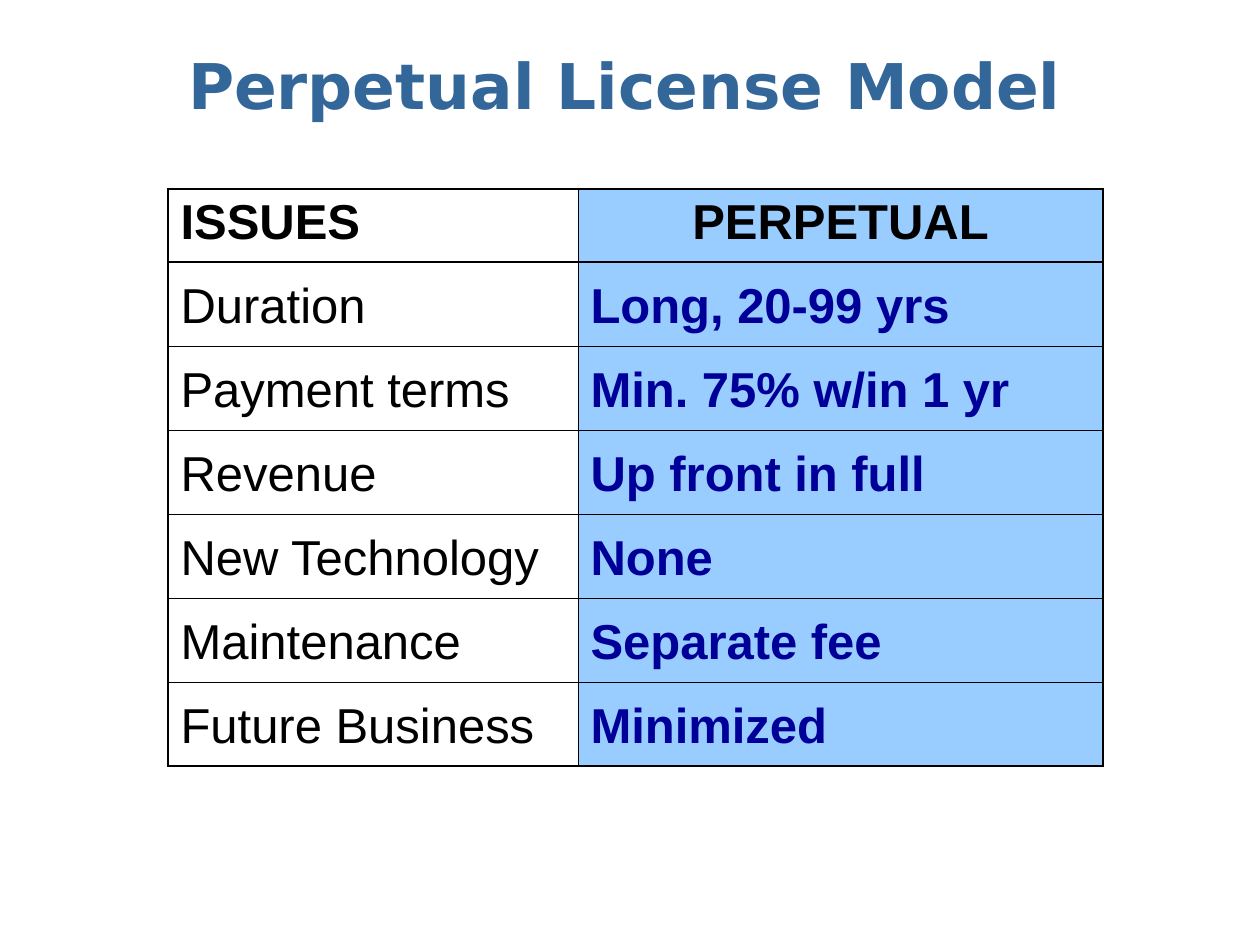
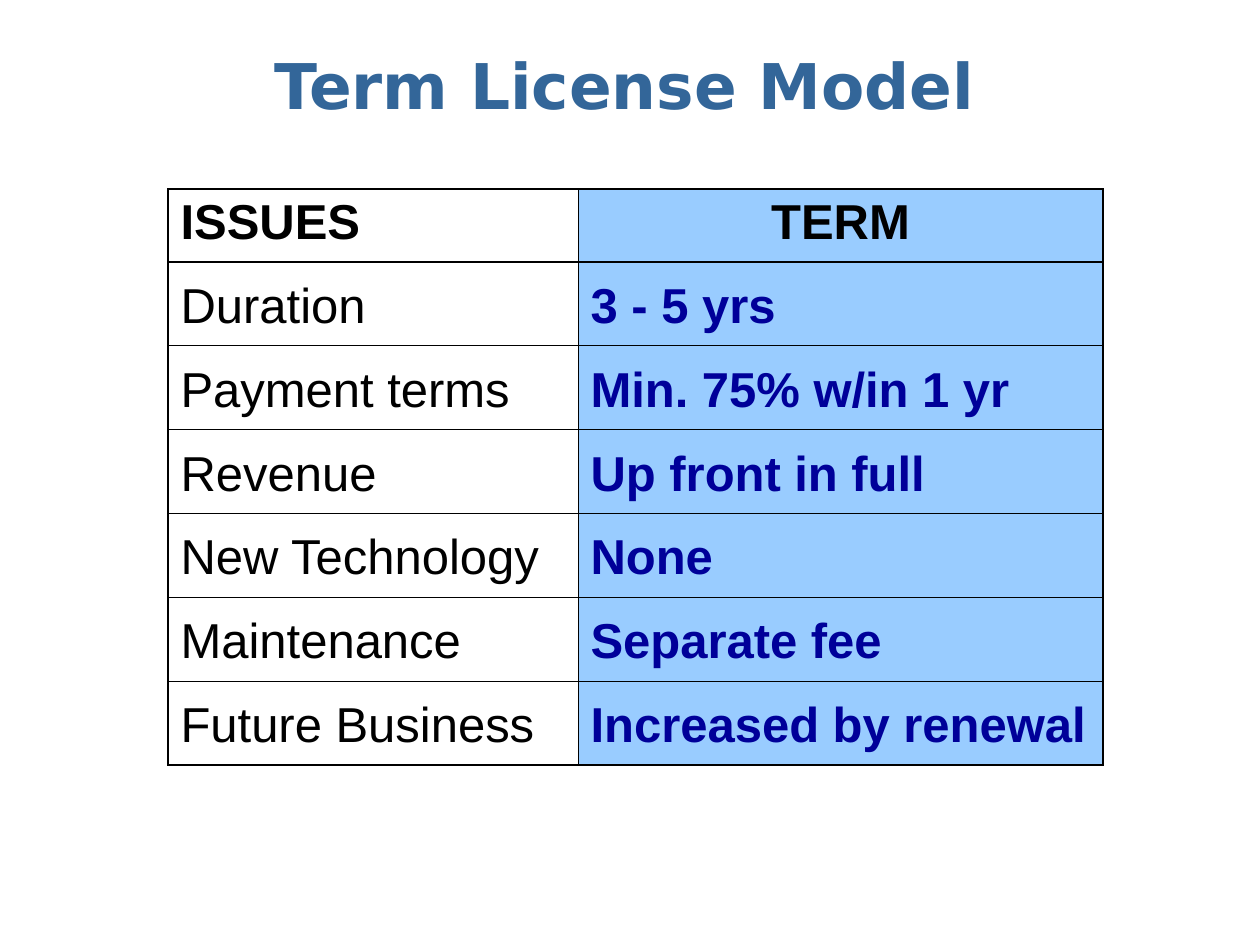
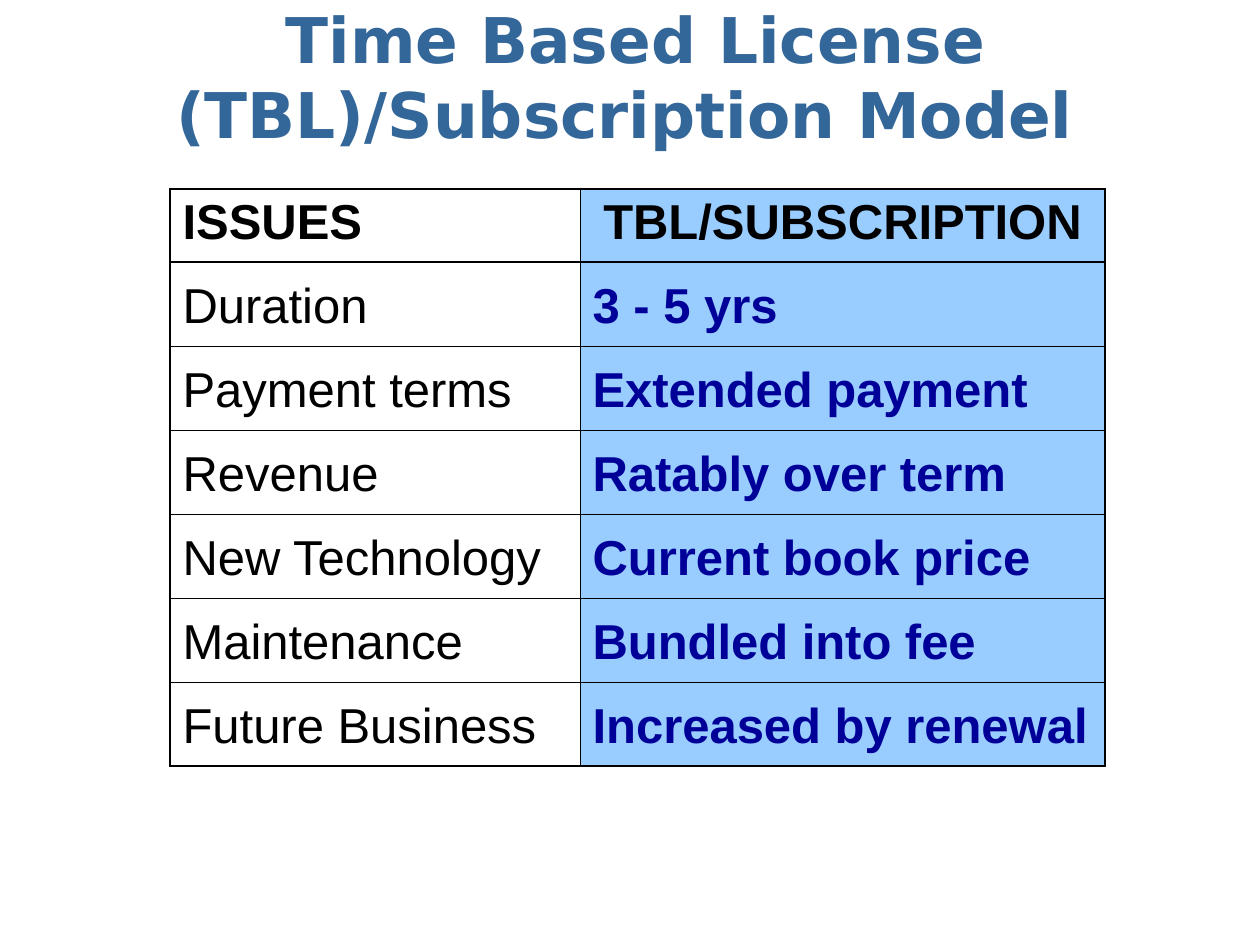
import dataclasses
import pptx
import pptx.dml.color
import pptx.enum.text
import pptx.oxml
import pptx.oxml.ns
import pptx.util

ALIGN = pptx.enum.text.PP_ALIGN


@dataclasses.dataclass(frozen=True)
class Theme:
    title: str = "336699"
    ink: str = "000000"
    value: str = "000099"
    tint: str = "99CCFF"
    head_font: str = "DejaVu Sans"
    body_font: str = "Arial"
    head_size: int = 36
    body_size: int = 28
    thick: float = 1.08
    thin: float = 0.45


THEME = Theme()
ISSUES = ["Duration", "Payment terms", "Revenue", "New Technology",
          "Maintenance", "Future Business"]
COLUMNS = (410, 525)
HEADER = 73
MODELS = [
    ("Perpetual License Model ", (32, 26, 1207, 116), (168, 189, 935, 577),
     "PERPETUAL",
     ["Long, 20-99 yrs", "Min. 75% w/in 1 yr", "Up front in full",
      "None", "Separate fee", "Minimized"]),
    ("Term License Model ", (32, 26, 1207, 116), (168, 189, 935, 576),
     "TERM",
     ["3 - 5 yrs", "Min. 75% w/in 1 yr", "Up front in full",
      "None", "Separate fee", "Increased by renewal"]),
    ("Time Based License (TBL)/Subscription Model ",
     (32, 18, 1207, 116), (170, 189, 935, 577),
     "TBL/SUBSCRIPTION",
     ["3 - 5 yrs", "Extended payment", "Ratably over term",
      "Current book price", "Bundled into fee", "Increased by renewal"]),
]


def px(n):
    return round(n * 914400 / 126)


def rgb(color):
    return pptx.dml.color.RGBColor.from_string(color)


def style(para, face, size, color, bold):
    font = para.font
    font.name = face
    font.size = pptx.util.Pt(size)
    font.color.rgb = rgb(color)
    font.bold = bold


def add_title(slide, box, text):
    frame = slide.shapes.add_textbox(*map(px, box)).text_frame
    frame.word_wrap = True
    frame.vertical_anchor = pptx.enum.text.MSO_ANCHOR.MIDDLE
    para = frame.paragraphs[0]
    para.text = text
    para.alignment = ALIGN.CENTER
    style(para, THEME.head_font, THEME.head_size, THEME.title, True)


def add_border(cell, widths):
    props = cell._tc.get_or_add_tcPr()
    for i, (side, width) in enumerate(zip("LRTB", widths)):
        props.insert(i, pptx.oxml.parse_xml(
            f'<a:ln{side} {pptx.oxml.ns.nsdecls("a")} w="{pptx.util.Pt(width)}">'
            f'<a:solidFill><a:srgbClr val="{THEME.ink}"/></a:solidFill>'
            f'</a:ln{side}>'))


def fill_cell(cell, text, row, col, last):
    para = cell.text_frame.paragraphs[0]
    para.text = text
    head, right = row == 0, col == 1
    if head:
        para.space_before = pptx.util.Pt(7)
        para.alignment = ALIGN.CENTER if right else ALIGN.LEFT
    else:
        para.line_spacing = 1.2
    color = THEME.value if right and not head else THEME.ink
    style(para, THEME.body_font, THEME.body_size, color, head or right)
    if right:
        cell.fill.solid()
        cell.fill.fore_color.rgb = rgb(THEME.tint)
    else:
        cell.fill.background()
    heavy = (not right, right, row <= 1, head or row == last)
    add_border(cell, [THEME.thick if h else THEME.thin for h in heavy])


def add_grid(slide, box, rows):
    table = slide.shapes.add_table(len(rows), 2, *map(px, box)).table
    table.first_row = table.horz_banding = False
    for col, width in zip(table.columns, COLUMNS):
        col.width = px(width)
    last = len(rows) - 1
    for r, texts in enumerate(rows):
        table.rows[r].height = px((box[3] - HEADER) / last if r else HEADER)
        for c, text in enumerate(texts):
            fill_cell(table.cell(r, c), text, r, c, last)


def main():
    deck = pptx.Presentation()
    deck.slide_width, deck.slide_height = px(1260), px(945)
    for title, top, grid, head, values in MODELS:
        slide = deck.slides.add_slide(deck.slide_layouts[6])
        add_title(slide, top, title)
        add_grid(slide, grid, [("ISSUES", head), *zip(ISSUES, values)])
    deck.save("out.pptx")


if __name__ == "__main__":
    main()
